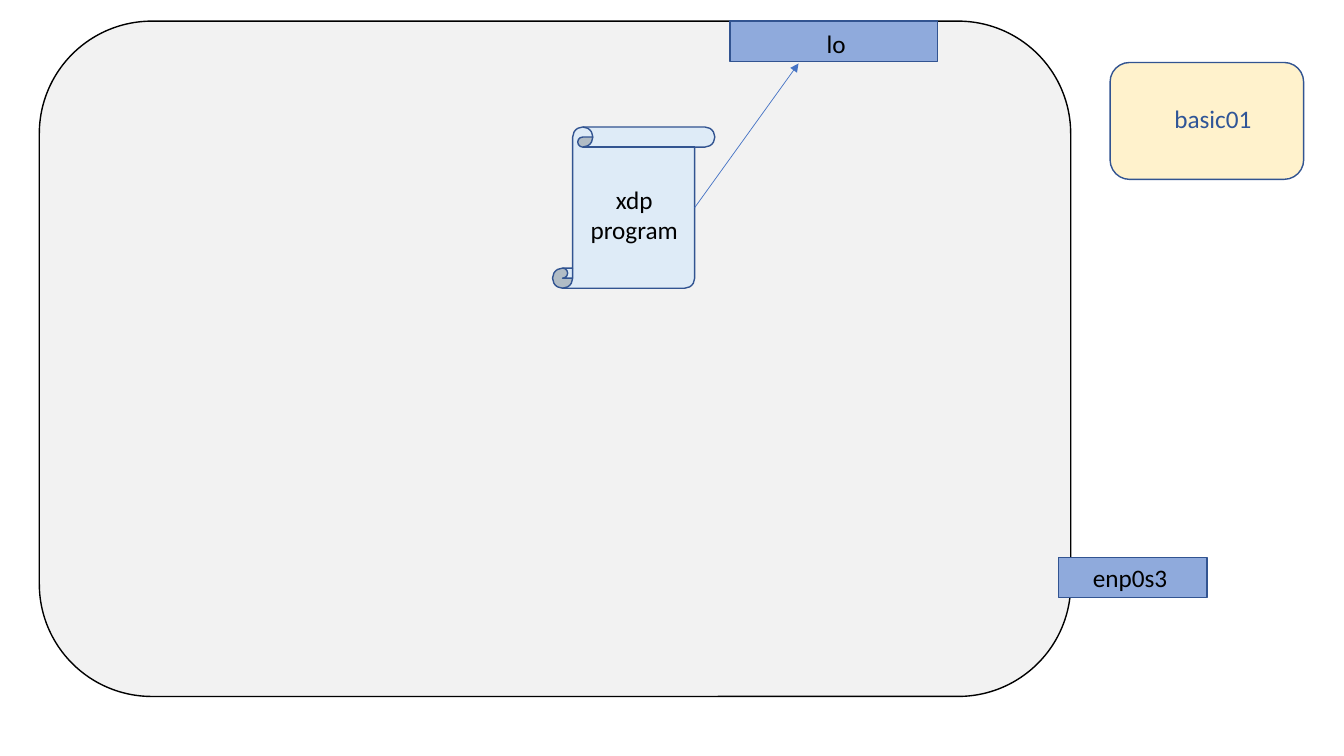
import pptx
import pptx.util
import pptx.dml.color
import pptx.enum.shapes
import pptx.enum.text
import pptx.oxml.ns
import lxml.etree

SHAPES = pptx.enum.shapes.MSO_SHAPE
ALIGN = pptx.enum.text.PP_ALIGN
COLOURS = {
    "host": "F2F2F2",
    "interface": "8FAADC",
    "lesson": "FFF2CC",
    "program": "DEEBF7",
    "outline": "325491",
    "arrow": "4472C4",
    "title": "2F5597",
    "black": "000000",
}


class Diagram:
    px = pptx.util.Inches(1) // 100
    font = "Calibri"
    text_size = 18

    def __init__(self, slide):
        self.slide = slide

    def emu(self, *lengths):
        return [length * self.px for length in lengths]

    def colour(self, name):
        return pptx.dml.color.RGBColor.from_string(COLOURS[name])

    def box(self, preset, bounds, fill, outline="outline"):
        shape = self.slide.shapes.add_shape(preset, *self.emu(*bounds))
        shape.shadow.inherit = False
        shape.fill.solid()
        shape.fill.fore_color.rgb = self.colour(fill)
        shape.line.color.rgb = self.colour(outline)
        shape.line.width = pptx.util.Pt(1)
        return shape

    def label(self, text, bounds, colour="black", align=ALIGN.CENTER):
        frame = self.slide.shapes.add_textbox(*self.emu(*bounds)).text_frame
        frame.word_wrap = True
        frame.auto_size = pptx.enum.text.MSO_AUTO_SIZE.SHAPE_TO_FIT_TEXT
        frame.text = text
        for paragraph in frame.paragraphs:
            paragraph.alignment = align
            for run in paragraph.runs:
                run.font.name = self.font
                run.font.size = pptx.util.Pt(self.text_size)
                run.font.color.rgb = self.colour(colour)

    def arrow(self, start, end):
        connector = self.slide.shapes.add_connector(
            pptx.enum.shapes.MSO_CONNECTOR.STRAIGHT, *self.emu(*start, *end))
        connector.line.color.rgb = self.colour("arrow")
        connector.line.width = pptx.util.Pt(0.5)
        qn = pptx.oxml.ns.qn
        line = connector.line._get_or_add_ln()
        lxml.etree.SubElement(line, qn("a:tailEnd"), type="triangle")
        lxml.etree.SubElement(connector._element.spPr, qn("a:effectLst"))


def main():
    presentation = pptx.Presentation()
    presentation.slide_width, presentation.slide_height = (
        1333 * Diagram.px, 750 * Diagram.px)
    diagram = Diagram(presentation.slides.add_slide(presentation.slide_layouts[6]))

    diagram.box(SHAPES.ROUNDED_RECTANGLE, (39, 21, 1023, 670), "host", "black")
    diagram.box(SHAPES.RECTANGLE, (1050, 553, 147, 40), "interface")
    diagram.box(SHAPES.RECTANGLE, (724, 21, 206, 40), "interface")
    diagram.label("lo", (810, 23, 99, 40), align=ALIGN.LEFT)
    diagram.label("enp0s3", (1074, 553, 99, 40), align=ALIGN.LEFT)

    diagram.box(SHAPES.ROUNDED_RECTANGLE, (1101, 62, 192, 116), "lesson")
    diagram.label("basic01", (1123, 98, 160, 40), "title")

    diagram.box(SHAPES.VERTICAL_SCROLL, (548, 126, 161, 160), "program")
    diagram.label("xdp\nprogram", (569, 178, 120, 71))
    diagram.arrow((689, 206), (792, 63))

    presentation.save("out.pptx")


if __name__ == "__main__":
    main()
